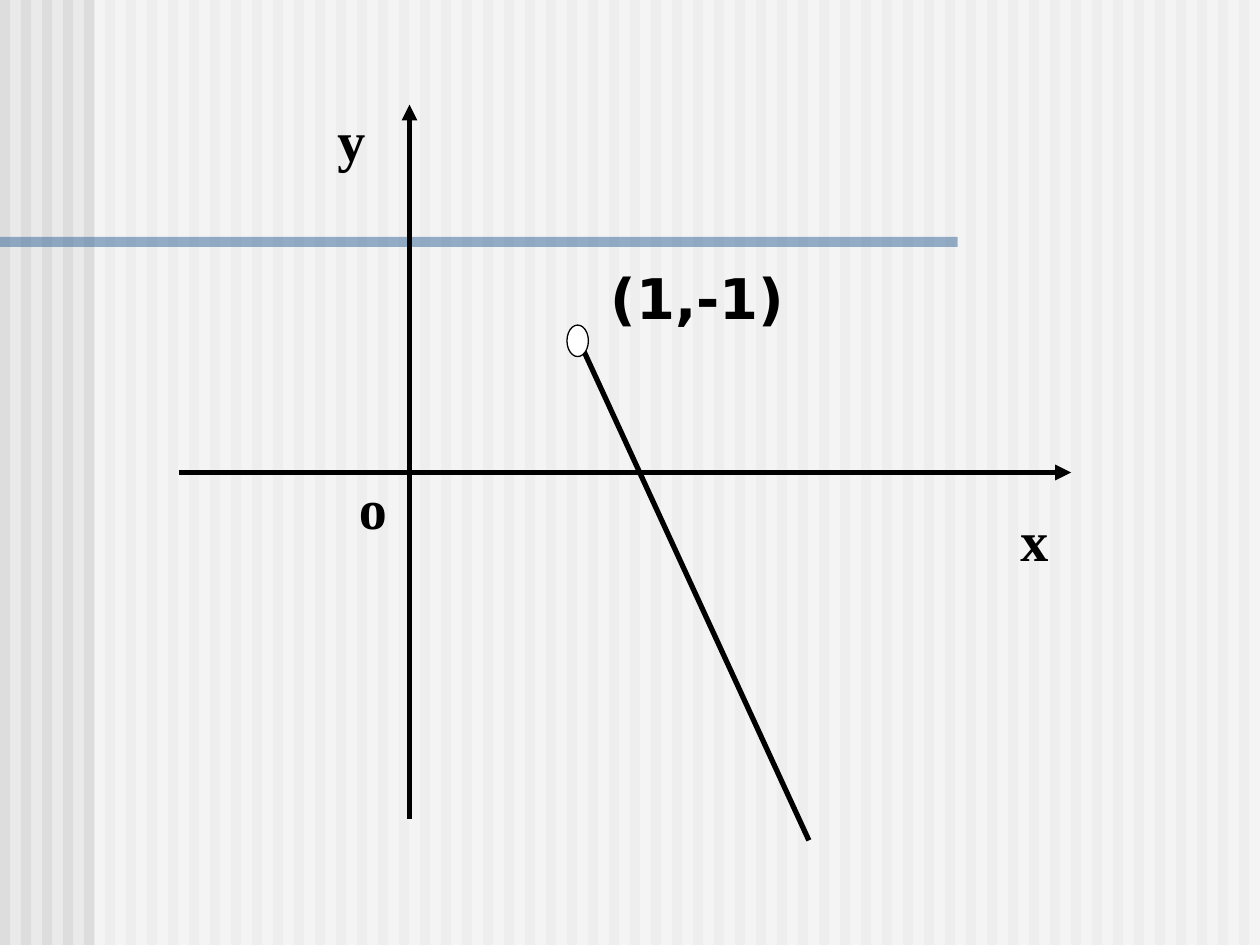
from pptx import Presentation
from pptx.dml.color import RGBColor
from pptx.enum.shapes import MSO_CONNECTOR, MSO_SHAPE
from pptx.oxml.ns import qn
from pptx.util import Inches, Pt
from lxml.etree import SubElement

HUES = {"back": "EAEAEA", "stripe": "DDDDDD", "white": "FFFFFF",
        "band": "336699", "ink": "000000"}


class Graph:
    """Draws the parts of a graph on one slide in a shared style."""

    def __init__(self, slide):
        self.slide = slide
        self.shapes = slide.shapes
        fill = slide.background.fill
        fill.solid()
        fill.fore_color.rgb = self.hue("back")

    def hue(self, name):
        return RGBColor.from_string(HUES[name])

    def shape(self, kind, x, y, w, h, name, alpha=None, edge=None):
        item = self.shapes.add_shape(kind, Inches(x), Inches(y), Inches(w), Inches(h))
        item.shadow.inherit = False
        item.fill.solid()
        item.fill.fore_color.rgb = self.hue(name)
        if alpha:
            color = item.fill._xPr.find(qn("a:solidFill"))[0]
            SubElement(color, qn("a:alpha"), val=str(alpha * 1000))
        if edge:
            item.line.color.rgb = self.hue("ink")
            item.line.width = Pt(edge)
        else:
            item.line.fill.background()

    def line(self, x1, y1, x2, y2, arrow=False):
        item = self.shapes.add_connector(
            MSO_CONNECTOR.STRAIGHT, Inches(x1), Inches(y1), Inches(x2), Inches(y2))
        item.line.color.rgb = self.hue("ink")
        item.line.width = Pt(3)
        if arrow:
            SubElement(item.line._get_or_add_ln(), qn("a:tailEnd"), type="triangle")
        SubElement(item._element.spPr, qn("a:effectLst"))

    def label(self, text, x, y, w, font="Times New Roman"):
        box = self.shapes.add_textbox(Inches(x), Inches(y), Inches(w), Inches(0.64))
        frame = box.text_frame
        frame.word_wrap = True
        frame.margin_top = Inches(0.09)
        frame.text = text
        style = frame.paragraphs[0].runs[0].font
        style.name = font
        style.size = Pt(32)
        style.bold = True
        style.color.rgb = self.hue("ink")


def main():
    deck = Presentation()
    deck.slide_width, deck.slide_height = Inches(10), Inches(7.5)
    graph = Graph(deck.slides.add_slide(deck.slide_layouts[6]))

    rect = MSO_SHAPE.RECTANGLE
    for i in range(60):
        graph.shape(rect, i / 6, 0, 0.08, 7.5, "stripe")
    graph.shape(rect, 0.75, 0, 9.25, 7.5, "white", alpha=50)
    graph.shape(rect, 0, 1.88, 7.6, 0.08, "band", alpha=50)

    graph.line(1.42, 3.75, 8.5, 3.75, arrow=True)
    graph.line(3.25, 6.5, 3.25, 0.83, arrow=True)
    graph.line(4.58, 2.67, 6.42, 6.67)

    graph.label("y", 2.58, 0.75, 0.92)
    graph.label("x", 8, 3.92, 0.92)
    graph.label("o", 2.75, 3.67, 0.58)
    graph.shape(MSO_SHAPE.OVAL, 4.5, 2.58, 0.17, 0.25, "white", edge=0.75)
    graph.label("(1,-1)", 4.75, 2, 2.67, "DejaVu Sans")

    deck.save("out.pptx")


if __name__ == "__main__":
    main()
